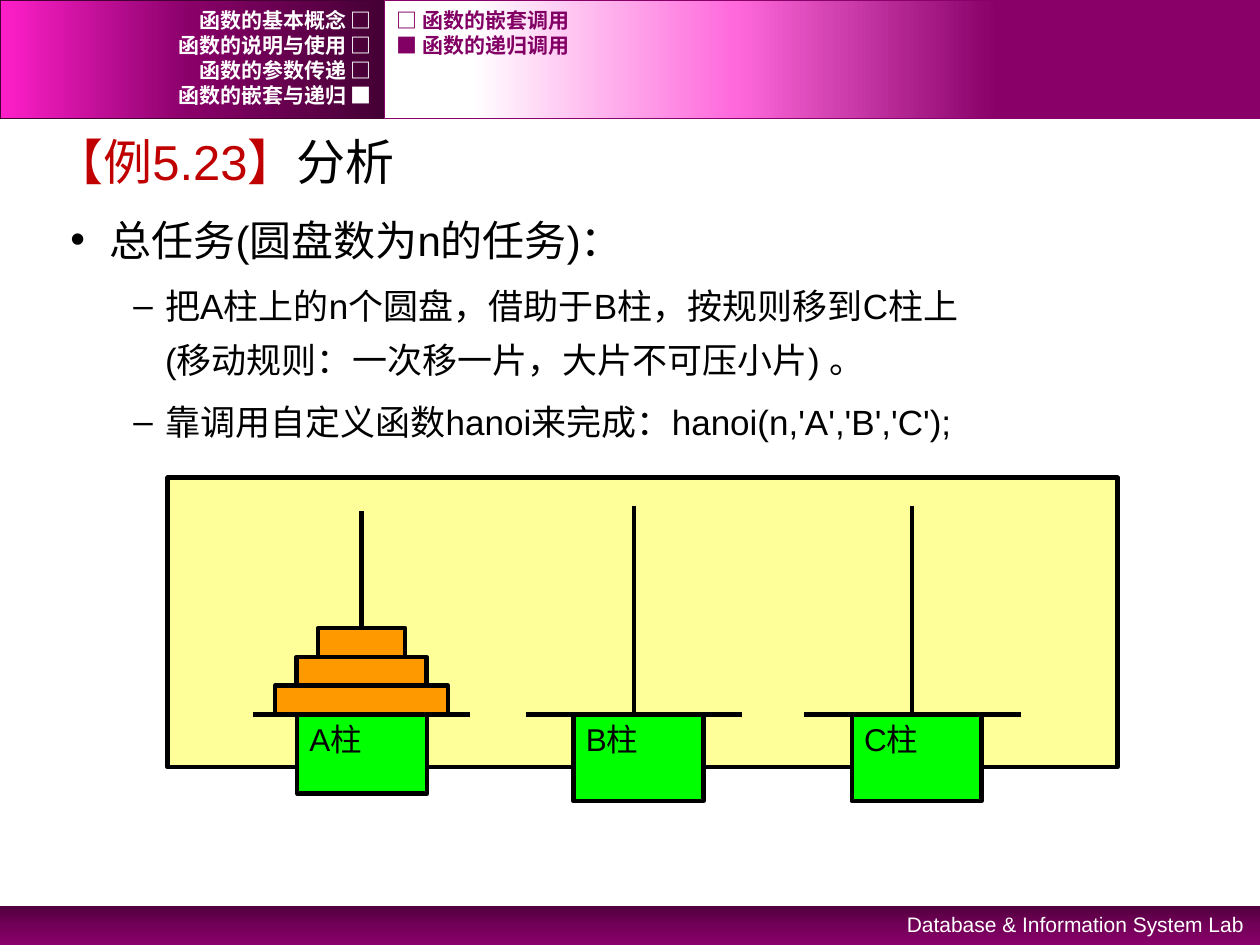
from copy import deepcopy
from lxml.etree import SubElement
from pptx import Presentation
from pptx.dml.color import RGBColor
from pptx.enum.shapes import MSO_CONNECTOR as LINE, MSO_SHAPE as SHAPE
from pptx.enum.text import MSO_ANCHOR as ANCHOR, PP_ALIGN as ALIGN
from pptx.oxml.ns import qn
from pptx.util import Cm, Pt

COLORS = {
    "black": "000000", "white": "FFFFFF", "red": "C00000",
    "panel": "FFFF99", "base": "00FF00", "disc": "FF9900",
    "topic": "820064", "plum": "880068", "dark": "440034",
    "deep": "51003E", "mid": "730058", "pink": "FF1FCA", "rose": "FF69DC",
}
BARS = [
    ((0, 18.26, 25.4, 0.79), [(0, "deep"), (50, "mid"), (100, "plum")], 270, None),
    ((0, 0, 7.75, 2.39), [(0, "dark"), (50, "plum"), (100, "pink")], 180, "dark"),
    ((7.75, 0, 17.65, 2.39), [(30, "plum"), (60, "rose"), (90, "white")], 180, "plum"),
]
CHAPTERS = ["函数的基本概念 □", "函数的说明与使用 □", "函数的参数传递 □", "函数的嵌套与递归 ■"]
TOPICS = ["□ 函数的嵌套调用", "■ 函数的递归调用"]
NAVS = [
    (CHAPTERS, 0, 7.75, ALIGN.RIGHT, "white"),
    (TOPICS, 7.75, 15.29, ALIGN.LEFT, "topic"),
]
FOOTER = "Database & Information System Lab"
TITLE = [("【例5.23】", "red"), ("分析", "black")]
LEVELS = [(0.95, 0.95, 28, None), (2.06, 0.79, 24, "•"), (3.18, 0.64, 20, "–")]
BODY = [
    (0, TITLE),
    (1, [("总任务(圆盘数为n的任务)：", "black")]),
    (2, [("把A柱上的n个圆盘，借助于B柱，按规则移到C柱上\n(移动规则：一次移一片，大片不可压小片) 。", "black")]),
    (2, [("靠调用自定义函数hanoi来完成：hanoi(n,'A','B','C');", "black")]),
]
PANEL = (3.38, 9.63, 19.15, 5.84)
FLOOR, FLOOR_W, BASE_W = 14.4, 4.37, 2.62
TOWERS = [
    ("A柱", 7.29, 10.31, 14.12, 5.99, 1.6, [3.48, 2.62, 1.75]),
    ("B柱", 12.78, 10.21, 14.45, 11.56, 1.75, []),
    ("C柱", 18.39, 10.21, 14.45, 17.17, 1.75, []),
]
DISC_H = 0.58


def rgb(name):
    return RGBColor.from_string(COLORS[name])


def style(font, size, color, name="Arial", bold=False):
    font.size, font.name, font.bold = Pt(size), name, bold
    font.color.rgb = rgb(color)


def add_rect(shapes, box, fill=None, line="black", width=2.5):
    sp = shapes.add_shape(SHAPE.RECTANGLE, *map(Cm, box))
    sp.shadow.inherit = False
    if fill:
        sp.fill.solid()
        sp.fill.fore_color.rgb = rgb(fill)
    if line:
        sp.line.color.rgb = rgb(line)
        sp.line.width = Pt(width)
    else:
        sp.line.fill.background()
    return sp


def add_bar(shapes, box, stops, angle, line):
    sp = add_rect(shapes, box, line=line, width=1)
    sp.fill.gradient()
    sp.fill.gradient_angle = angle
    gs_list = sp._element.spPr.find(".//" + qn("a:gsLst"))
    gs_list.append(deepcopy(gs_list[-1]))
    for stop, (pos, color) in zip(sp.fill.gradient_stops, stops):
        stop.position = pos / 100
        stop.color.rgb = rgb(color)


def add_line(shapes, x1, y1, x2, y2):
    c = shapes.add_connector(LINE.STRAIGHT, *map(Cm, (x1, y1, x2, y2)))
    c.line.color.rgb = rgb("black")
    c.line.width = Pt(2.5)
    SubElement(c._element.spPr, qn("a:effectLst"))


def add_text(shapes, box, text, align, anchor, **font):
    tf = shapes.add_textbox(*map(Cm, box)).text_frame
    tf.word_wrap = True
    tf.vertical_anchor = anchor
    p = tf.paragraphs[0]
    p.text, p.alignment = text, align
    style(p.font, **font)


def add_body(shapes):
    tf = shapes.add_textbox(Cm(-0.1), Cm(2.18), Cm(24), Cm(14.73)).text_frame
    tf.word_wrap = True
    for i, (level, runs) in enumerate(BODY):
        p = tf.add_paragraph() if i else tf.paragraphs[0]
        left, hang, size, bullet = LEVELS[level]
        p.level = level
        p.line_spacing = 1.3
        p.space_before = Pt(size * 0.2 if i else 0)
        pr = p._p.get_or_add_pPr()
        pr.set("marL", str(Cm(left)))
        pr.set("indent", str(-Cm(hang) if bullet else 0))
        if bullet:
            SubElement(pr, qn("a:buFont"), typeface="Arial")
            SubElement(pr, qn("a:buChar"), char=bullet)
        style(p.font, size, "black")
        for text, color in runs:
            for j, part in enumerate(text.split("\n")):
                if j:
                    p.add_line_break()
                r = p.add_run()
                r.text = part
                style(r.font, size, color)


def add_tower(shapes, label, x, top, bottom, base_x, base_h, discs):
    sp = add_rect(shapes, (base_x, FLOOR, BASE_W, base_h), "base")
    tf = sp.text_frame
    tf.vertical_anchor = ANCHOR.TOP
    p = tf.paragraphs[0]
    p.text, p.alignment = label, ALIGN.LEFT
    style(p.font, 18, "black")
    add_line(shapes, x, top, x, bottom)
    add_line(shapes, x - FLOOR_W / 2, FLOOR, x + FLOOR_W / 2, FLOOR)
    for i, w in enumerate(discs, 1):
        add_rect(shapes, (x - w / 2, FLOOR - i * DISC_H, w, DISC_H), "disc")


def main():
    prs = Presentation()
    prs.slide_width, prs.slide_height = Cm(25.4), Cm(19.05)
    s = prs.slides.add_slide(prs.slide_layouts[6])
    for bar in BARS:
        add_bar(s.shapes, *bar)
    add_text(s.shapes, (16.31, 18.26, 9.02, 0.76), FOOTER, ALIGN.RIGHT, ANCHOR.TOP,
             size=12, color="white")
    add_body(s.shapes)
    group = s.shapes.add_group_shape().shapes
    add_rect(group, PANEL, "panel")
    for tower in TOWERS:
        add_tower(group, *tower)
    for items, x, w, align, color in NAVS:
        for i, text in enumerate(items):
            add_text(s.shapes, (x, 0.16 + i * 0.5, w, 0.5), text, align, ANCHOR.MIDDLE,
                     size=12, color=color, name="Courier New", bold=True)
    prs.save("out.pptx")


if __name__ == "__main__":
    main()
